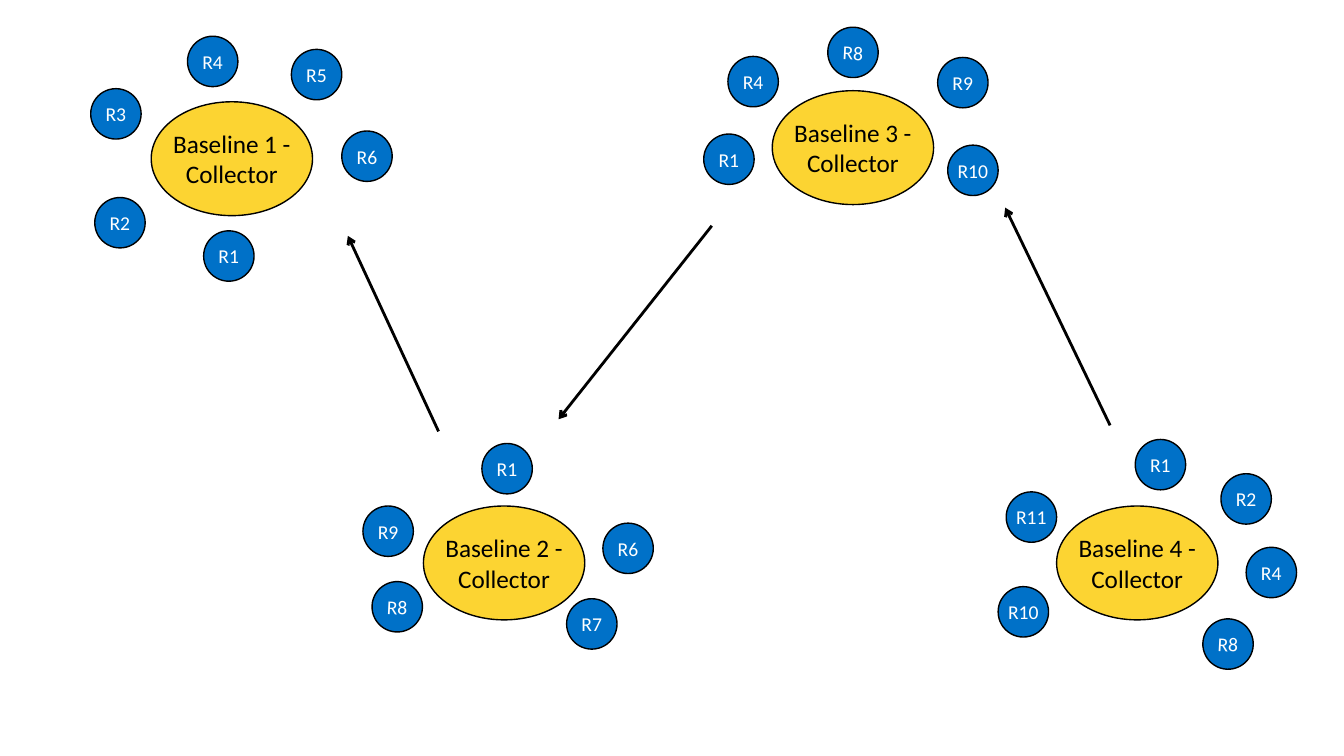
import pptx
import pptx.util
import pptx.dml.color
import pptx.enum.shapes
import pptx.enum.text
from lxml import etree
from pptx.oxml.ns import qn

Inches, Pt = pptx.util.Inches, pptx.util.Pt
RGBColor = pptx.dml.color.RGBColor
YELLOW = RGBColor(0xFC, 0xD4, 0x32)
BLUE = RGBColor(0x00, 0x71, 0xC8)
BLACK = RGBColor(0, 0, 0)
WHITE = RGBColor(255, 255, 255)

COLLECTOR_SIZE = (1.6, 1.13)
ROUTER_SIZE = (0.5, 0.5)
TILTS = {"R8": 2.7}

BASELINES = [
    ("Baseline 4 -", (10.48, 5.02), [
        ("R1", 11.26, 4.36), ("R10", 9.9, 5.82), ("R2", 12.11, 4.7),
        ("R8", 11.93, 6.14), ("R4", 12.36, 5.43), ("R11", 9.98, 4.88)]),
    ("Baseline 2 -", (4.2, 5.02), [
        ("R1", 4.78, 4.4), ("R7", 5.62, 5.94), ("R9", 3.6, 5.02),
        ("R8", 3.69, 5.77), ("R6", 5.98, 5.19)]),
    ("Baseline 1 -", (1.5, 1.01), [
        ("R1", 2.02, 2.29), ("R3", 0.9, 0.88), ("R6", 3.39, 1.3),
        ("R5", 2.89, 0.49), ("R4", 1.86, 0.36), ("R2", 0.94, 1.96)]),
    ("Baseline 3 -", (7.66, 0.9), [
        ("R1", 6.98, 1.33), ("R10", 9.4, 1.44), ("R9", 9.3, 0.57),
        ("R8", 8.21, 0.27), ("R4", 7.22, 0.56)]),
]
ARROWS = [
    (11.01, 4.22, 9.97, 2.06),
    (4.35, 4.28, 3.45, 2.34),
    (7.06, 2.24, 5.54, 4.16),
]


def add_ellipse(s, lines, left, top, size, fill, color, points):
    """Add an outlined ellipse with centred lines of text."""
    sp = s.shapes.add_shape(pptx.enum.shapes.MSO_SHAPE.OVAL,
                            Inches(left), Inches(top), *map(Inches, size))
    sp.shadow.inherit = False
    sp.rotation = TILTS.get(lines[0], 0)
    sp.fill.solid()
    sp.fill.fore_color.rgb = fill
    sp.line.color.rgb = BLACK
    sp.line.width = Pt(1)
    tf = sp.text_frame
    tf.word_wrap = False
    tf.vertical_anchor = pptx.enum.text.MSO_ANCHOR.MIDDLE
    tf.text = "\n".join(lines)
    for p in tf.paragraphs:
        p.alignment = pptx.enum.text.PP_ALIGN.CENTER
        p.font.name = "Calibri"
        p.font.size = Pt(points)
        p.font.color.rgb = color


def add_arrow(s, ends):
    """Add a straight line with an open arrowhead at its end."""
    line = s.shapes.add_connector(pptx.enum.shapes.MSO_CONNECTOR.STRAIGHT,
                                  *map(Inches, ends))
    line.line.color.rgb = BLACK
    line.line.width = Pt(2)
    ln = line.line._get_or_add_ln()
    etree.SubElement(ln, qn("a:tailEnd"), type="arrow")
    etree.SubElement(line._element.spPr, qn("a:effectLst"))


def main():
    """Build the slide of baseline collectors and their routers."""
    prs = pptx.Presentation()
    prs.slide_width, prs.slide_height = Inches(13.33), Inches(7.5)
    s = prs.slides.add_slide(prs.slide_layouts[6])
    for name, (left, top), routers in BASELINES:
        add_ellipse(s, [name, "Collector"], left, top, COLLECTOR_SIZE,
                    YELLOW, BLACK, 18)
        for label, x, y in routers:
            add_ellipse(s, [label], x, y, ROUTER_SIZE, BLUE, WHITE, 14)
    for ends in ARROWS:
        add_arrow(s, ends)
    prs.save("out.pptx")


if __name__ == "__main__":
    main()
